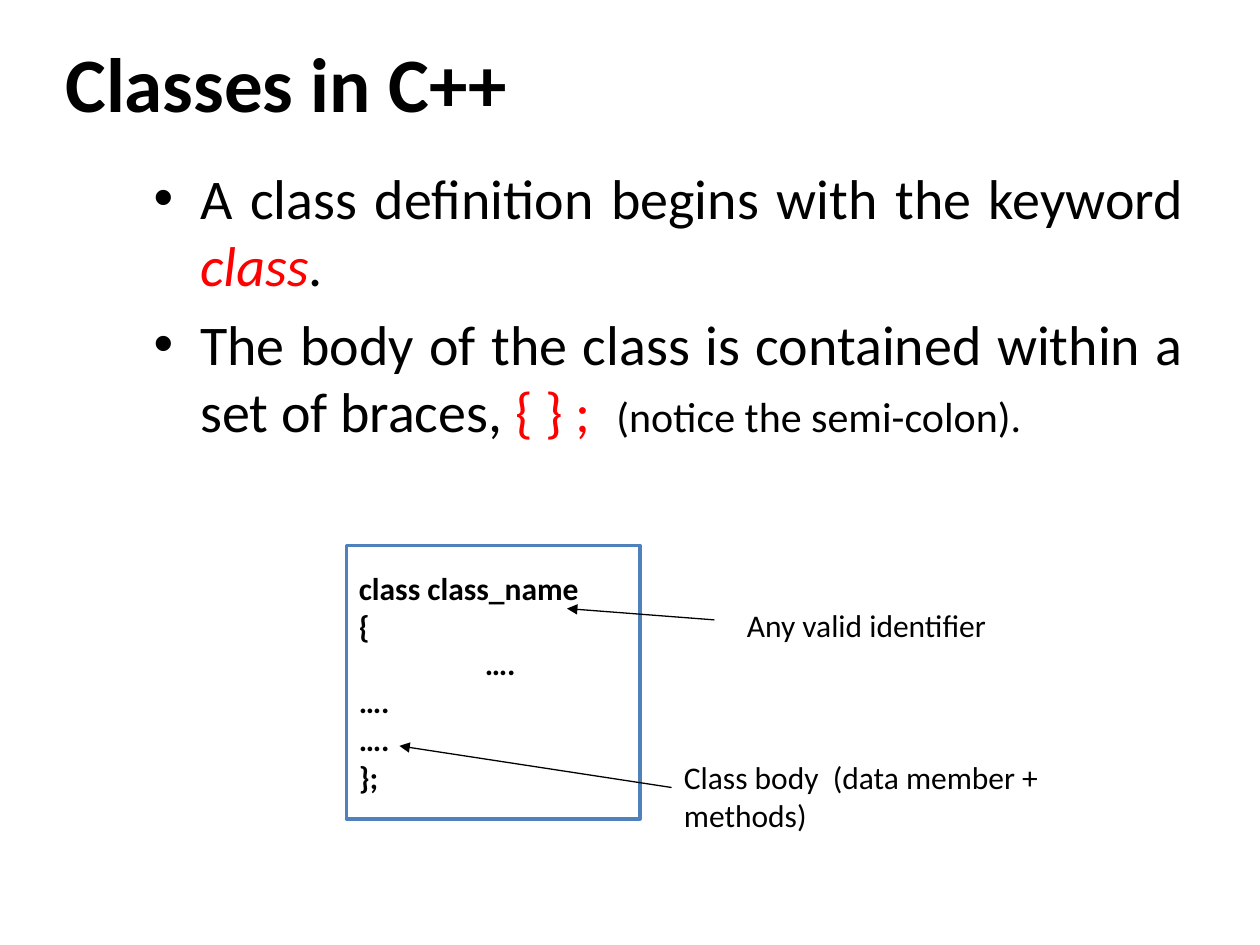
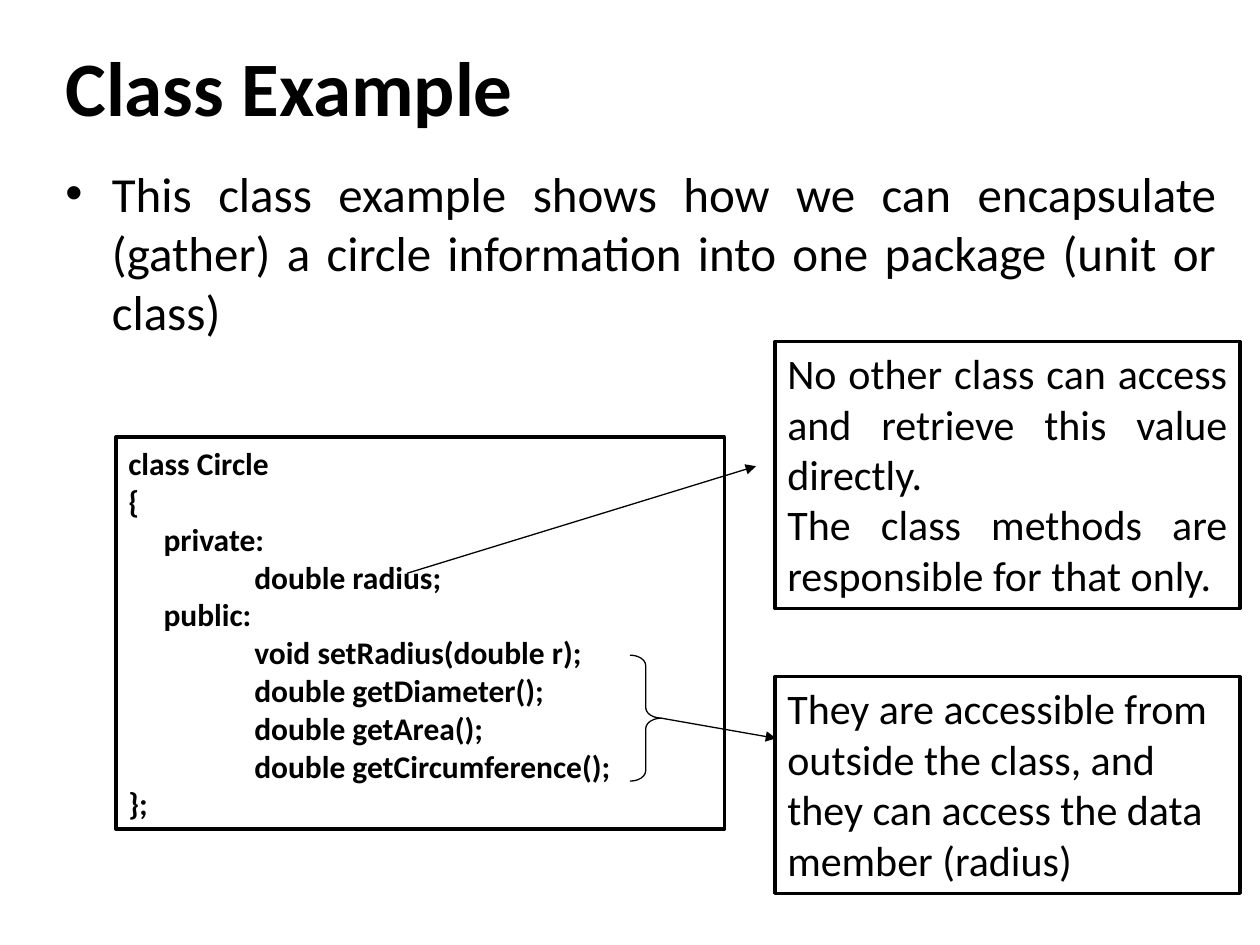
import pptx
import pptx.dml.color
import pptx.enum.shapes
import pptx.enum.text
import pptx.oxml
import pptx.oxml.ns
import pptx.util

Inches = pptx.util.Inches
Pt = pptx.util.Pt
RGBColor = pptx.dml.color.RGBColor
Shape = pptx.enum.shapes.MSO_SHAPE
Align = pptx.enum.text.PP_ALIGN
Anchor = pptx.enum.text.MSO_ANCHOR
AutoSize = pptx.enum.text.MSO_AUTO_SIZE
qn = pptx.oxml.ns.qn

BLACK = RGBColor(0x00, 0x00, 0x00)
WHITE = RGBColor(0xFF, 0xFF, 0xFF)
RED = RGBColor(0xFF, 0x00, 0x00)
BLUE = RGBColor(0x4F, 0x81, 0xBD)

FONT = "Calibri"
HANG = 0.37
LABEL_INDENT = 0.28
CODE_INDENT = 1.0


def sub(parent, tag, **attrs):
    el = pptx.oxml.parse_xml(f"<{tag} {pptx.oxml.ns.nsdecls('a')}/>")
    for name, value in attrs.items():
        el.set(name, value)
    parent.append(el)


class Deck:
    """Holds the shared style and the slide being filled."""

    def __init__(self):
        self.prs = pptx.Presentation()
        self.prs.slide_width = Inches(10)
        self.prs.slide_height = Inches(7.5)
        self.s = None

    def new_slide(self, title, top):
        self.s = self.prs.slides.add_slide(self.prs.slide_layouts[6])
        self.text((0.42, top, 8, 0.7), [title], 44, anchor=Anchor.MIDDLE, bold=True)

    def fill_text(self, sp, paragraphs, size, anchor=Anchor.TOP, align=Align.LEFT,
                  grow=False, bullet=False, bold=False):
        """Write paragraphs: a string, (indent, string), or a list of (string, format)."""
        tf = sp.text_frame
        tf.word_wrap = True
        tf.vertical_anchor = anchor
        tf.auto_size = AutoSize.SHAPE_TO_FIT_TEXT if grow else AutoSize.NONE
        for i, item in enumerate(paragraphs):
            p = tf.add_paragraph() if i else tf.paragraphs[0]
            p.alignment = align
            indent, runs = item if isinstance(item, tuple) else (0, item)
            if isinstance(runs, str):
                runs = [(runs, {})]
            pPr = p._p.get_or_add_pPr()
            if bullet:
                p.space_before = Pt(size * 0.2)
                pPr.set("marL", str(Inches(HANG)))
                pPr.set("indent", str(Inches(-HANG)))
                sub(pPr, "a:buFont", typeface="Arial")
                sub(pPr, "a:buChar", char="•")
            elif indent:
                pPr.set("marL", str(Inches(indent)))
            for text, fmt in runs:
                r = p.add_run()
                r.text = text
                style = {"name": FONT, "size": Pt(size), "bold": bold, **fmt}
                r.font.color.rgb = style.pop("color", BLACK)
                for name, value in style.items():
                    setattr(r.font, name, value)

    def text(self, at, paragraphs, size, **style):
        sp = self.s.shapes.add_textbox(*map(Inches, at))
        self.fill_text(sp, paragraphs, size, **style)

    def bullets(self, at, paragraphs, size):
        self.text(at, paragraphs, size, align=Align.JUSTIFY, bullet=True)

    def shape(self, kind, at, line, width):
        sp = self.s.shapes.add_shape(kind, *map(Inches, at))
        sp.shadow.inherit = False
        sp.line.color.rgb = line
        sp.line.width = Pt(width)
        return sp

    def box(self, at, paragraphs, size, line=BLACK, **style):
        sp = self.shape(Shape.RECTANGLE, at, line, 2)
        sp.fill.solid()
        sp.fill.fore_color.rgb = WHITE
        self.fill_text(sp, paragraphs, size, **style)

    def code(self, at, lines, **style):
        self.box(at, lines, 18, anchor=Anchor.MIDDLE, bold=True, **style)

    def brace(self, at):
        sp = self.shape(Shape.RIGHT_BRACE, at, BLACK, 0.75)
        sp.fill.background()
        sp.adjustments[0] = 0.333

    def arrow(self, start, end):
        c = self.s.shapes.add_connector(pptx.enum.shapes.MSO_CONNECTOR.STRAIGHT,
                                        *map(Inches, start + end))
        c.line.color.rgb = BLACK
        c.line.width = Pt(0.75)
        sub(c.line._get_or_add_ln(), "a:tailEnd", type="triangle")
        sub(c._element.find(qn("p:spPr")), "a:effectLst")


def class_syntax(deck):
    deck.new_slide("Classes in C++", 0.3)
    deck.bullets((1.12, 1.25, 8.38, 5.33), [
        [("A class definition begins with the keyword ", {}),
         ("class", {"color": RED, "italic": True}),
         (".", {})],
        [("The body of the class is contained within a set of braces, ", {}),
         ("{ } ;  ", {"color": RED}),
         ("(notice the semi-colon).", {"size": Pt(24)})],
    ], 32)
    deck.code((2.75, 4.33, 2.33, 2.17),
              ["class class_name", "{", (CODE_INDENT, "…."), "….", "….", "};"],
              line=BLUE)
    deck.arrow((5.33, 6.25), (3.17, 5.92))
    deck.text((5.33, 5.97, 3.33, 0.7), ["Class body  (data member + methods)"], 18,
              grow=True)
    deck.arrow((5.67, 4.92), (4.5, 4.83))
    deck.text((5.83, 4.76, 2.17, 0.4), ["Any valid identifier"], 18, grow=True)


def class_example(deck):
    deck.new_slide("Class Example", 0.33)
    deck.bullets((0.42, 1.25, 9.33, 1.57), [
        "This class example shows how we can encapsulate (gather) a circle "
        "information into one package (unit or class)"], 28)
    deck.box((6.15, 2.71, 3.69, 2.12), [
        "No other class can access and retrieve this value directly.",
        "The class methods are responsible for that only."], 24,
        align=Align.JUSTIFY, grow=True)
    methods = ["void setRadius(double r);", "double getDiameter();",
               "double getArea();", "double getCircumference();"]
    deck.code((0.92, 3.47, 4.83, 3.11), [
        "class Circle", "{",
        (LABEL_INDENT, "private:"), (CODE_INDENT, "double radius;"),
        (LABEL_INDENT, "public:"), *[(CODE_INDENT, m) for m in methods],
        "};"], grow=True)
    deck.arrow((3.23, 4.55), (6, 3.7))
    deck.brace((5, 5.2, 0.25, 1))
    deck.arrow((5.25, 5.7), (6.16, 5.86))
    deck.box((6.15, 5.37, 3.69, 1.72), [
        "They are accessible from outside the class, and they can access the "
        "data member (radius)"], 24, grow=True)


def main():
    deck = Deck()
    class_syntax(deck)
    class_example(deck)
    deck.prs.save("out.pptx")


if __name__ == "__main__":
    main()
